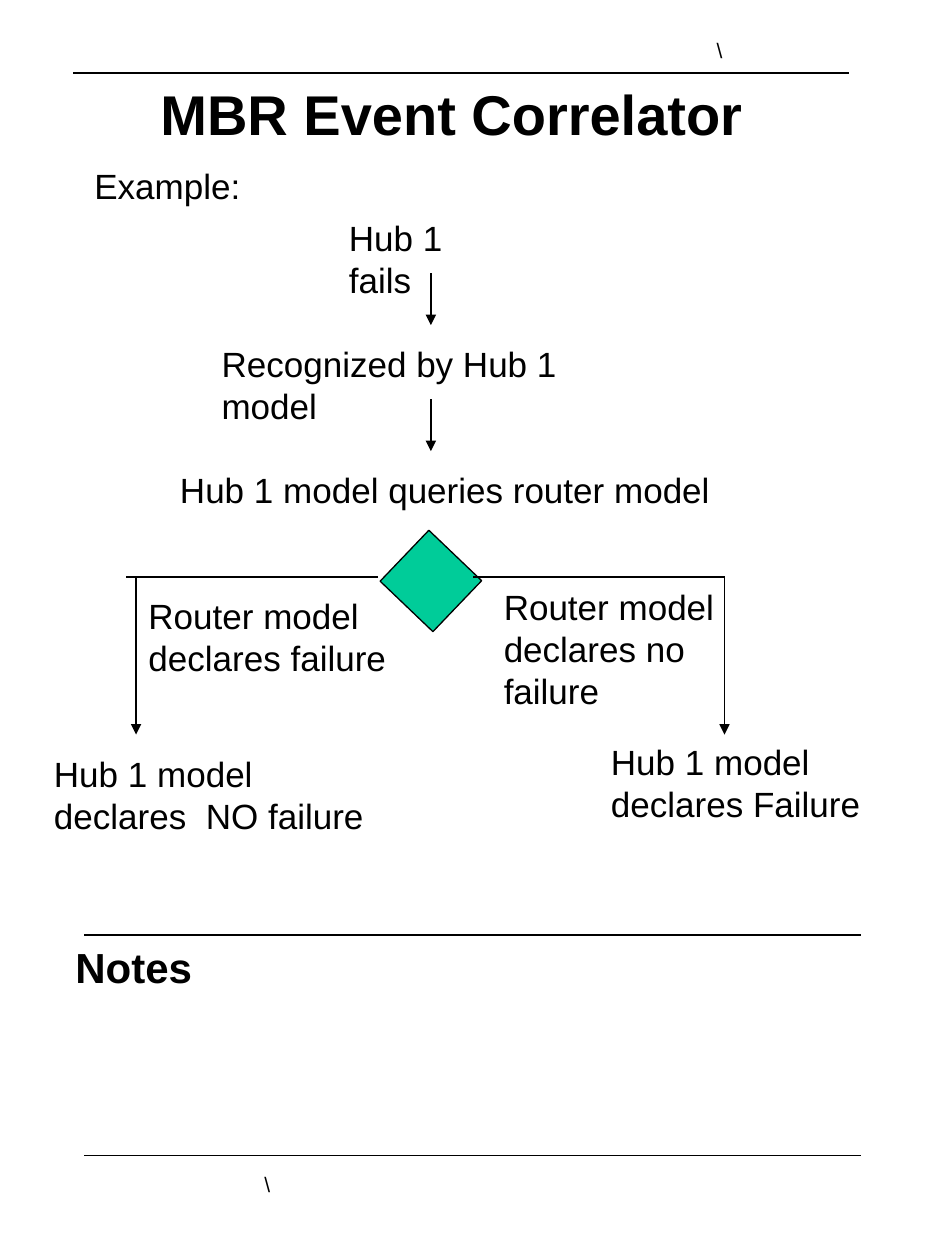
"""Build the MBR Event Correlator handout page."""
from dataclasses import dataclass

import pptx
import pptx.dml.color
import pptx.enum.shapes
import pptx.enum.text
import pptx.oxml
import pptx.oxml.ns
import pptx.slide
import pptx.text.text
import pptx.util
from pptx.util import Inches


@dataclass(frozen=True)
class Theme:
    font: str = "Arial"
    ink: str = "000000"
    decision: str = "00CC99"
    title: int = 32
    heading: int = 24
    body: int = 20
    mark: int = 12
    rule: float = 1
    flow: float = 0.75


@dataclass(frozen=True)
class Label:
    left: float
    top: float
    width: float
    height: float
    lines: tuple[str, ...]
    size: int
    bold: bool = False
    wrap: bool = False
    indent: float = 0


@dataclass(frozen=True)
class Line:
    start: tuple[float, float]
    end: tuple[float, float]
    weight: float
    arrow: bool = False


THEME = Theme()
CENTER, FORK, OUTCOME = 3.42, 4.58, 5.83
FAILURE_X, NO_FAILURE_X = 1.08, 5.75
RULE_WIDTH, ARROW_LENGTH = 6.16, 0.41

RULES = [
    Line((left, top), (left + RULE_WIDTH, top), THEME.rule)
    for left, top in ((0.58, 0.58), (0.67, 7.42), (0.67, 9.17))
]
STEP_ARROWS = [
    Line((CENTER, top), (CENTER, top + ARROW_LENGTH), THEME.flow, True)
    for top in (2.17, 3.17)
]
BRANCHES = [
    Line((3, FORK), (1, FORK), THEME.flow),
    Line((NO_FAILURE_X, FORK), (3.75, FORK), THEME.flow),
]
OUTCOME_ARROWS = [
    Line((x, FORK), (x, OUTCOME), THEME.flow, True)
    for x in (FAILURE_X, NO_FAILURE_X)
]
TITLE = Label(0.5, 0.58, 6.17, 0.64, ("MBR Event Correlator",), THEME.title, True, True)
LABELS = [
    Label(0, 7.42, 1.67, 0.5, ("Notes",), THEME.heading, True, True, 0.5),
    Label(0.65, 1.26, 1.36, 0.44, ("Example:",), THEME.body),
    Label(2.67, 1.67, 1.51, 0.44, ("Hub 1 fails",), THEME.body),
    Label(1.66, 2.67, 3.69, 0.44, ("Recognized by Hub 1 model",), THEME.body),
    Label(1.33, 3.67, 4.41, 0.44, ("Hub 1 model queries router model",), THEME.body),
    Label(1.08, 4.67, 2.16, 0.77, ("Router model", "declares failure"), THEME.body),
    Label(3.9, 4.6, 1.87, 1.1, ("Router model", "declares no", "failure"), THEME.body),
    Label(0.33, 5.92, 2.66, 0.77, ("Hub 1 model", "declares  NO failure"), THEME.body),
    Label(4.75, 5.83, 2.18, 0.77, ("Hub 1 model", "declares Failure"), THEME.body),
    Label(5.59, 0.25, 0.24, 0.3, ("\\",), THEME.mark),
    Label(2, 9.25, 0.24, 0.3, ("\\",), THEME.mark),
]


def color(value: str) -> pptx.dml.color.RGBColor:
    """Return the colour for a hex value."""
    return pptx.dml.color.RGBColor.from_string(value)


def write_label(
    frame: pptx.text.text.TextFrame,
    label: Label,
    alignment: pptx.enum.text.PP_ALIGN,
) -> None:
    """Fill a text frame with the lines of a label."""
    frame.word_wrap = label.wrap
    frame.auto_size = pptx.enum.text.MSO_AUTO_SIZE.SHAPE_TO_FIT_TEXT
    frame.vertical_anchor = pptx.enum.text.MSO_ANCHOR.TOP
    for index, line in enumerate(label.lines):
        paragraph = frame.add_paragraph() if index else frame.paragraphs[0]
        paragraph.alignment = alignment
        if label.indent:
            properties = paragraph._p.get_or_add_pPr()
            properties.set("marL", str(Inches(label.indent)))
            properties.set("indent", "0")
        run = paragraph.add_run()
        run.text = line
        run.font.name = THEME.font
        run.font.size = pptx.util.Pt(label.size)
        run.font.bold = label.bold
        run.font.color.rgb = color(THEME.ink)


def place_title(slide: pptx.slide.Slide, label: Label) -> None:
    """Move the title placeholder into place and fill it."""
    title = slide.shapes.title
    title.left, title.top = Inches(label.left), Inches(label.top)
    title.width, title.height = Inches(label.width), Inches(label.height)
    write_label(title.text_frame, label, pptx.enum.text.PP_ALIGN.CENTER)


def draw_label(slide: pptx.slide.Slide, label: Label) -> None:
    """Add a left-aligned text box."""
    box = slide.shapes.add_textbox(
        Inches(label.left), Inches(label.top), Inches(label.width), Inches(label.height)
    )
    write_label(box.text_frame, label, pptx.enum.text.PP_ALIGN.LEFT)


def draw_line(slide: pptx.slide.Slide, line: Line) -> None:
    """Add a straight line, with an arrowhead at its end if asked for."""
    connector = slide.shapes.add_connector(
        pptx.enum.shapes.MSO_CONNECTOR.STRAIGHT,
        *(Inches(length) for length in line.start + line.end),
    )
    connector.line.color.rgb = color(THEME.ink)
    connector.line.width = pptx.util.Pt(line.weight)
    if line.arrow:
        connector.line._get_or_add_ln().append(
            pptx.oxml.parse_xml(
                f'<a:tailEnd {pptx.oxml.ns.nsdecls("a")} type="triangle"/>'
            )
        )
    connector._element.spPr.append(
        pptx.oxml.parse_xml(f'<a:effectLst {pptx.oxml.ns.nsdecls("a")}/>')
    )


def draw_decision(slide: pptx.slide.Slide) -> None:
    """Add the tilted square where the flow forks."""
    decision = slide.shapes.add_shape(
        pptx.enum.shapes.MSO_SHAPE.RECTANGLE,
        Inches(3.14), Inches(4.32), Inches(0.56), Inches(0.58),
    )
    decision.rotation = 313.7
    decision.shadow.inherit = False
    decision.fill.solid()
    decision.fill.fore_color.rgb = color(THEME.decision)
    decision.line.color.rgb = color(THEME.ink)
    decision.line.width = pptx.util.Pt(THEME.flow)


def main() -> None:
    """Build and save the page."""
    deck = pptx.Presentation()
    deck.slide_width, deck.slide_height = Inches(7.5), Inches(10)
    slide = deck.slides.add_slide(deck.slide_layouts.get_by_name("Title Only"))
    place_title(slide, TITLE)
    draw_decision(slide)
    for line in RULES + STEP_ARROWS + BRANCHES + OUTCOME_ARROWS:
        draw_line(slide, line)
    for label in LABELS:
        draw_label(slide, label)
    deck.save("out.pptx")


if __name__ == "__main__":
    main()
